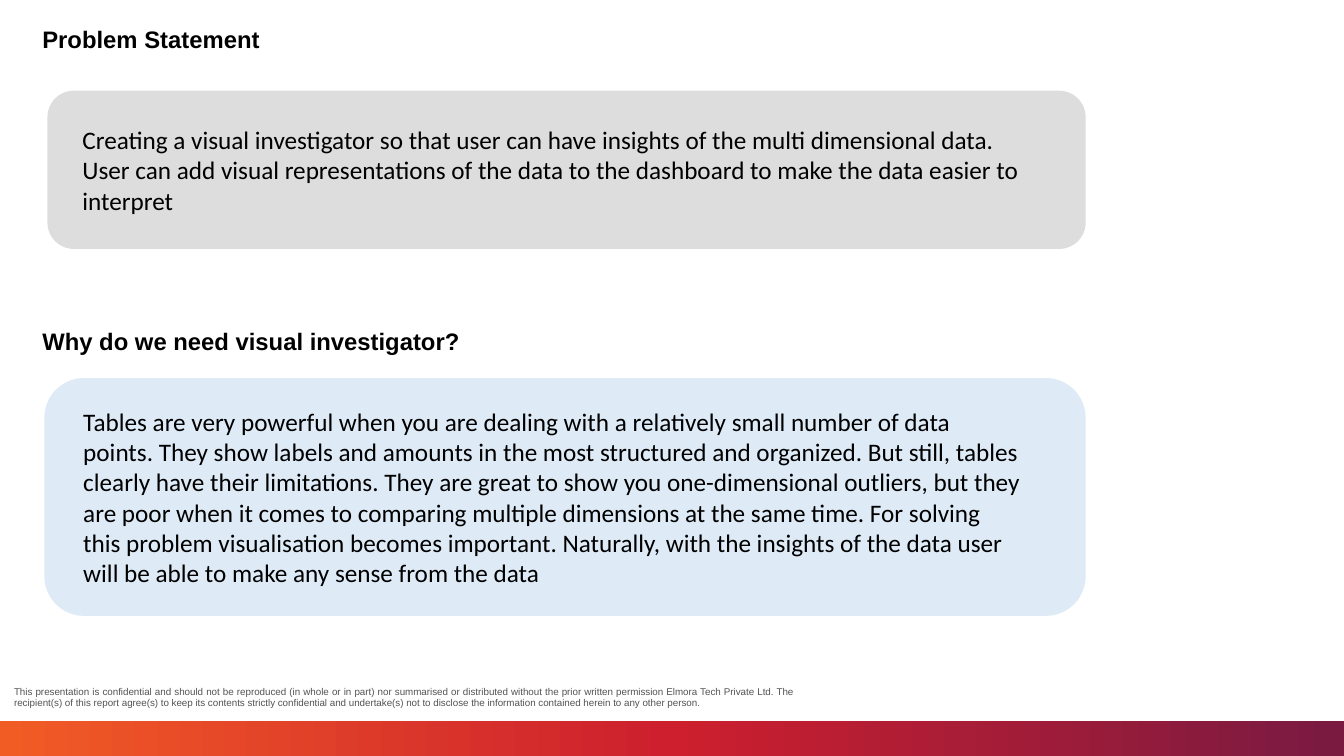
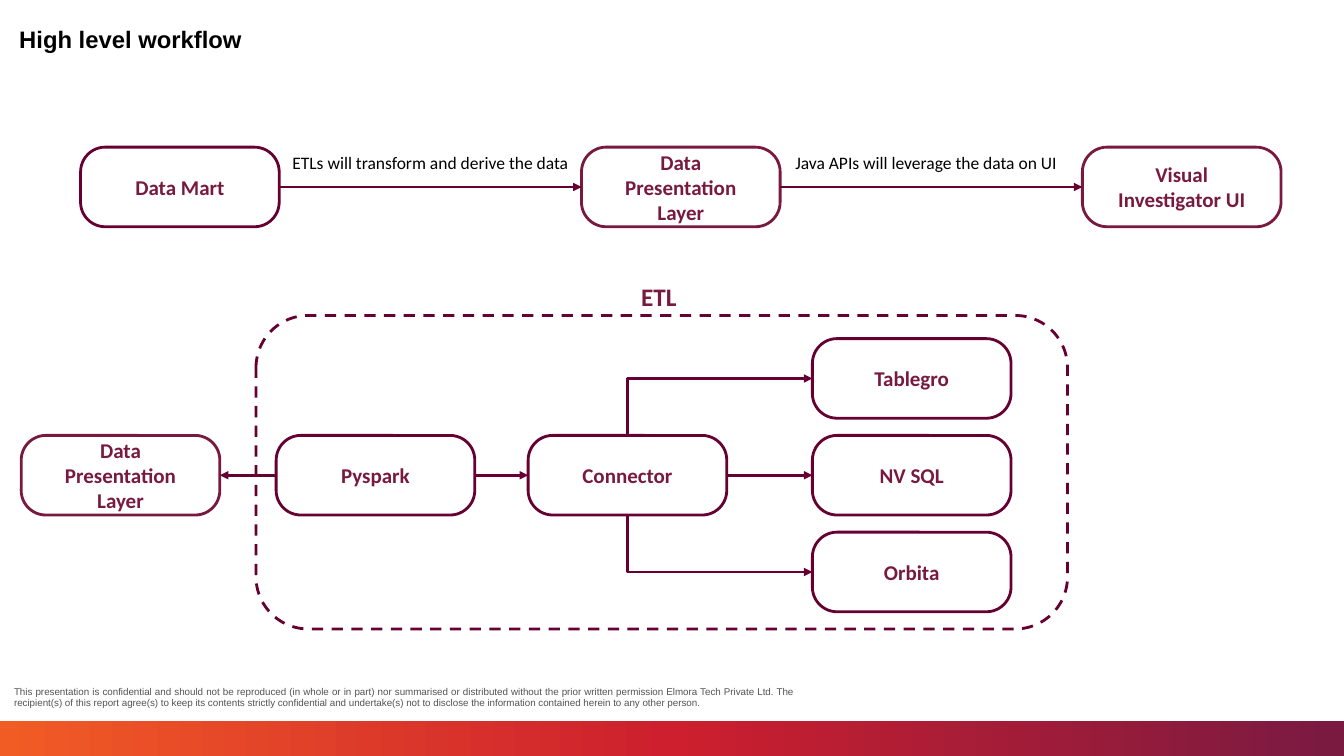
from copy import deepcopy

from lxml import etree
from pptx import Presentation
from pptx import util as u
from pptx.dml.color import RGBColor
from pptx.enum import dml, shapes, text
from pptx.oxml import ns

WIDTH, HEIGHT = u.Inches(13.33), u.Inches(7.5)
BLACK, GREY, WHITE = "000000", "535353", "FFFFFF"
PLUM, WINE = "660033", "781A3F"
CARD_GREY, CARD_BLUE = "DDDDDD", "DEEBF7"
BAND_STOPS = [(0, "F15C25"), (0.5, "CD1F2E"), (0.99, "7B1A41")]
HEADING = dict(size=17, font="Arial", bold=True, insets=(0, 0, 0, 0))
NODE_WIDTH, NODE_HEIGHT = 14.78, 10.53
TOP, LEFT, BOTTOM, RIGHT = range(4)

CONFIDENTIAL = (
    "This presentation is confidential and should not be reproduced (in whole or in part) "
    "nor summarised or distributed without the prior written permission Elmora Tech Private Ltd. "
    "The recipient(s) of this report agree(s) to keep its contents strictly confidential and "
    "undertake(s) not to disclose the information contained herein to any other person."
)
PROBLEM = (
    "Creating a visual investigator so that user can have insights of the multi dimensional data. "
    "User can add visual representations of the data to the dashboard to make the data easier "
    "to interpret"
)
REASON = (
    "Tables are very powerful when you are dealing with a relatively small number of data points. "
    "They show labels and amounts in the most structured and organized. But still, tables clearly "
    "have their limitations. They are great to show you one-dimensional outliers, but they are poor "
    "when it comes to comparing multiple dimensions at the same time. For solving this problem "
    "visualisation becomes important. Naturally, with the insights of the data user will be able "
    "to make any sense from the data"
)


def color(value):
    return RGBColor.from_string(value)


def percent(left, top, width, height):
    return [round(share * full / 100) for share, full in
            zip((left, top, width, height), (WIDTH, HEIGHT, WIDTH, HEIGHT))]


def write(box, words, size=18, font="Calibri", ink=BLACK, bold=False, before=0,
          align=text.PP_ALIGN.LEFT, anchor=text.MSO_ANCHOR.TOP, insets=(3.6, 3.6, 3.6, 3.6)):
    frame = box.text_frame
    frame.word_wrap = True
    frame.auto_size = text.MSO_AUTO_SIZE.NONE
    frame.vertical_anchor = anchor
    (frame.margin_left, frame.margin_top,
     frame.margin_right, frame.margin_bottom) = map(u.Pt, insets)
    para = frame.paragraphs[0]
    para.alignment = align
    para.space_before = u.Pt(before)
    span = para.add_run()
    span.text = words
    span.font.size = u.Pt(size)
    span.font.name = font
    span.font.bold = bold
    span.font.color.rgb = color(ink)


def add_text(page, area, words, **style):
    box = page.shapes.add_textbox(*percent(*area))
    write(box, words, **style)
    return box


def add_title(page, left, words):
    title = page.shapes.title
    title.left, title.top, title.width, title.height = percent(left, 3.33, 96.85, 3.87)
    write(title, words, **HEADING)


def add_box(page, area, fill=None, line=None, corner=None,
            kind=shapes.MSO_SHAPE.ROUNDED_RECTANGLE):
    box = page.shapes.add_shape(kind, *percent(*area))
    box.shadow.inherit = False
    if fill:
        box.fill.solid()
        box.fill.fore_color.rgb = color(fill)
    else:
        box.fill.background()
    if line:
        box.line.color.rgb = color(line)
        box.line.width = u.Pt(2)
    else:
        box.line.fill.background()
    if corner:
        box.adjustments[0] = corner
    return box


def add_card(page, area, fill, words):
    card = add_box(page, area, fill=fill)
    write(card, words, anchor=text.MSO_ANCHOR.MIDDLE, insets=(19.5, 0, 37.5, 0))


def add_node(page, left, top, words, line=PLUM):
    node = add_box(page, (left, top, NODE_WIDTH, NODE_HEIGHT), line=line, corner=0.31)
    write(node, words, size=15, ink=WINE, bold=True, align=text.PP_ALIGN.CENTER,
          anchor=text.MSO_ANCHOR.MIDDLE, insets=(14, 0, 14, 0))
    return node


def add_arrow_into(page, target, target_side, source, source_side, bent=False):
    kind = shapes.MSO_CONNECTOR.ELBOW if bent else shapes.MSO_CONNECTOR.STRAIGHT
    arrow = page.shapes.add_connector(kind, 0, 0, 0, 0)
    arrow.begin_connect(target, target_side)
    arrow.end_connect(source, source_side)
    arrow.line.color.rgb = color(PLUM)
    arrow.line.width = u.Pt(2)
    outline = arrow.element.xpath(".//a:ln")[0]
    etree.SubElement(outline, ns.qn("a:headEnd"), type="triangle")
    etree.SubElement(outline.getparent(), ns.qn("a:effectLst"))
    if bent:
        arrow.element.xpath(".//a:prstGeom")[0].set("prst", "bentConnector2")


def furnish_layout(layout, page):
    band = add_box(page, (0, 95.33, 100, 4.67), kind=shapes.MSO_SHAPE.RECTANGLE)
    band.fill.gradient()
    band.fill.gradient_angle = 0
    stops = band.element.xpath(".//a:gsLst")[0]
    stops.append(deepcopy(stops[-1]))
    for stop, (position, ink) in zip(band.fill.gradient_stops, BAND_STOPS):
        stop.position = position
        stop.color.rgb = color(ink)
    notice = add_text(page, (0.67, 90, 58.73, 4.53), CONFIDENTIAL, size=7, font="Arial",
                      ink=GREY, before=4, align=text.PP_ALIGN.JUSTIFY)
    for part in (band, notice):
        layout.shapes.element.append(part.element)


def build_problem(page):
    add_title(page, 3.15, "Problem Statement")
    add_text(page, (3.15, 43.2, 41.4, 3.87), "Why do we need visual investigator?", **HEADING)
    add_card(page, (3.53, 12, 77.25, 20.93), CARD_GREY, PROBLEM)
    add_card(page, (3.3, 50, 77.48, 31.47), CARD_BLUE, REASON)


def build_pipeline(page):
    stages = [("Data Mart", PLUM), ("Data Presentation Layer", WINE),
              ("Visual Investigator UI", WINE)]
    nodes = [add_node(page, 6 + 37.27 * index, 19.47, words, line)
             for index, (words, line) in enumerate(stages)]
    for source, target in zip(nodes, nodes[1:]):
        add_arrow_into(page, target, LEFT, source, RIGHT)
    for left, width, words in [(21.38, 23.18, "ETLs will transform and derive the data"),
                               (58.8, 21.3, "Java APIs will leverage the data on UI")]:
        add_text(page, (left, 19.47, width, 4.13), words, size=12.5)


def build_etl(page):
    middle, step = 57.6, 12.8
    frame = add_box(page, (19.05, 41.73, 60.38, 41.47), fill=WHITE, line=PLUM)
    frame.line.dash_style = dml.MSO_LINE.DASH
    add_text(page, (47.33, 36.53, 12.98, 5.33), "ETL", ink=WINE, bold=True)
    layer = add_node(page, 1.58, middle, "Data Presentation Layer", WINE)
    pyspark = add_node(page, 20.55, middle, "Pyspark")
    connector = add_node(page, 39.3, middle, "Connector")
    add_arrow_into(page, layer, RIGHT, pyspark, LEFT)
    add_arrow_into(page, connector, LEFT, pyspark, RIGHT)
    databases = [("Tablegro", TOP), ("NV SQL", RIGHT), ("Orbita", BOTTOM)]
    for index, (words, side) in enumerate(databases):
        database = add_node(page, 60.45, middle + step * (index - 1), words)
        add_arrow_into(page, database, LEFT, connector, side, bent=side != RIGHT)


def main():
    deck = Presentation()
    deck.slide_width, deck.slide_height = WIDTH, HEIGHT
    layout = deck.slide_layouts.get_by_name("Title Only")
    problem = deck.slides.add_slide(layout)
    furnish_layout(layout, problem)
    build_problem(problem)
    workflow = deck.slides.add_slide(layout)
    add_title(workflow, 1.43, "High level workflow")
    build_pipeline(workflow)
    build_etl(workflow)
    deck.save("out.pptx")


if __name__ == "__main__":
    main()
